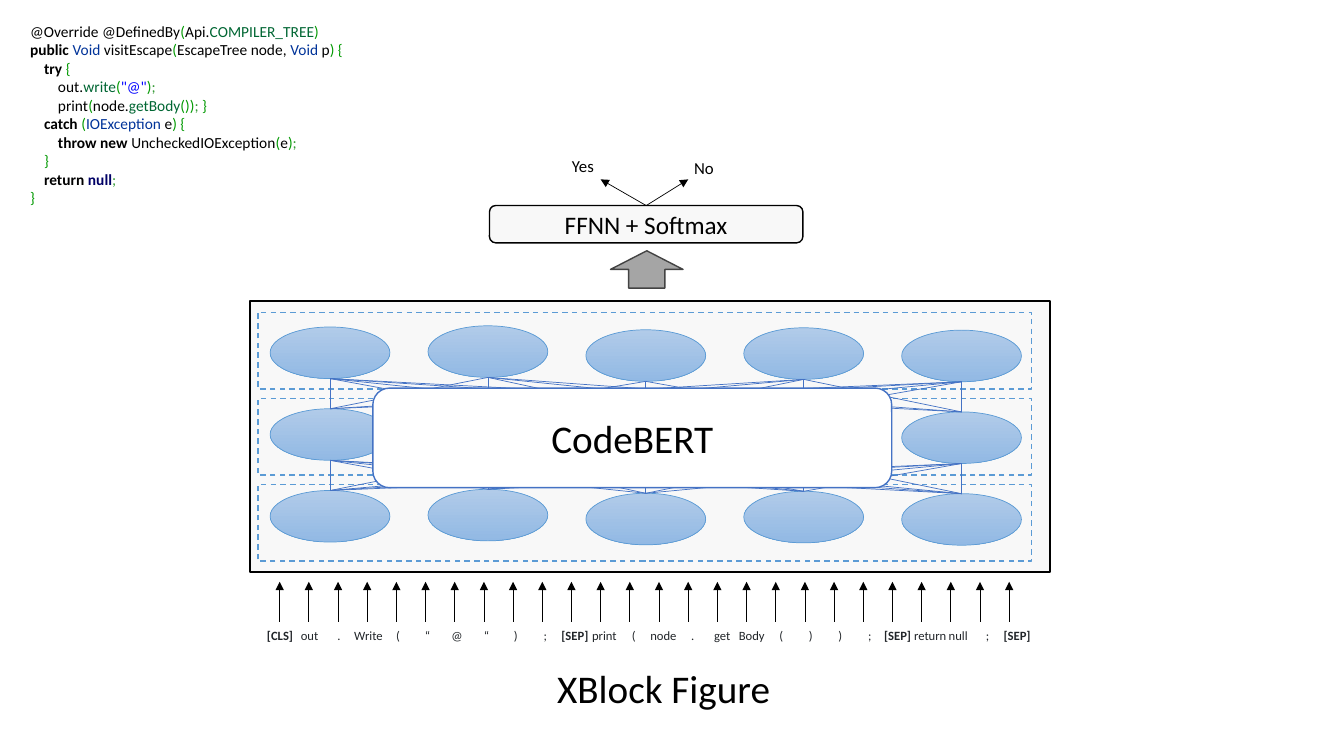
from pptx import Presentation
from pptx.dml.color import RGBColor
from pptx.enum.dml import MSO_LINE
from pptx.enum.shapes import MSO_CONNECTOR, MSO_SHAPE
from pptx.enum.text import MSO_ANCHOR, PP_ALIGN
from pptx.oxml.ns import qn
from pptx.util import Cm, Pt
from lxml.etree import SubElement

# Content: each run is (text, style)
CODE = [
    [("@Override @DefinedBy", "black"), ("(", "mark"), ("Api.", "black"),
     ("COMPILER_TREE", "call"), (")", "mark")],
    [("public ", "word"), ("Void", "type"), (" visitEscape", "black"),
     ("(", "mark"), ("EscapeTree node, ", "black"), ("Void", "type"),
     (" p", "black"), (") {", "mark")],
    [("    try ", "word"), ("{", "mark")],
    [("        out.", "black"), ("write", "call"), ("(", "mark"),
     ('"@"', "quote"), (")", "mark"), (";", "end")],
    [("        print", "black"), ("(", "mark"), ("node.", "black"),
     ("getBody", "call"), ("())", "mark"), ("; ", "end"), ("}", "mark")],
    [("    catch ", "word"), ("(", "mark"), ("IOException", "type"),
     (" e", "black"), (") {", "mark")],
    [("        throw new", "word"), (" UncheckedIOException", "black"),
     ("(", "mark"), ("e", "black"), (")", "mark"), (";", "end")],
    [("    }", "mark")],
    [("    return ", "word"), ("null", "null"), (";", "end")],
    [("}", "mark")],
]
TOKENS = ["[CLS]", "out", ".", "Write", "(", "“", "@", "“", ")", ";",
          "[SEP]", "print", "(", "node", ".", "get", "Body", "(", ")", ")",
          ";", "[SEP]", "return", "null", ";", "[SEP]"]
NUDGE = {21: -0.04, 22: 0.04}  # parts the wide neighbours "[SEP]" and "return"
LABELS = [("Yes", 14.17, 3.81, 15.14), ("No", 17.25, 3.84, 17.35)]

COLORS = {
    "black": "000000", "word": "000000", "null": "000066", "mark": "009900",
    "call": "006633", "type": "003399", "quote": "0000FF", "end": "339933",
    "token": "212529", "head": "212529", "pale": "F8F8F8", "white": "FFFFFF",
    "sky": "5B9BD5", "blue": "4472C4", "light": "B1CBE9", "deep": "92B9E4",
    "gray": "A5A5A5", "dark": "434343",
}
BOLD = {"word", "null", "head"}

deck = Presentation()
deck.slide_width, deck.slide_height = Cm(33.88), Cm(19.05)
slide = deck.slides.add_slide(deck.slide_layouts[5])
shapes = slide.shapes


def rgb(name):
    return RGBColor.from_string(COLORS[name])


def write(frame, lines, size=12, align=PP_ALIGN.LEFT, anchor=MSO_ANCHOR.TOP,
          tabs=()):
    """Fill a text frame with lines of (text, style) runs."""
    frame.word_wrap = True
    frame.vertical_anchor = anchor
    for i, runs in enumerate(lines):
        para = frame.add_paragraph() if i else frame.paragraphs[0]
        para.alignment = align
        if tabs:
            stops = SubElement(para._p.get_or_add_pPr(), qn("a:tabLst"))
            for pos in tabs:
                SubElement(stops, qn("a:tab"), pos=str(Cm(pos)), algn="ctr")
        for text, style in runs:
            run = para.add_run()
            run.text = text
            run.font.name, run.font.size = "Calibri", Pt(size)
            run.font.bold = style in BOLD
            run.font.color.rgb = rgb(style)


def box(kind, x, y, w, h, fill, edge, width=1):
    part = shapes.add_shape(kind, Cm(x), Cm(y), Cm(w), Cm(h))
    part.shadow.inherit = False
    if fill:
        part.fill.solid()
        part.fill.fore_color.rgb = rgb(fill)
    else:
        part.fill.background()
    part.line.color.rgb = rgb(edge)
    part.line.width = Pt(width)
    return part


def note(x, y, w, h, lines, **form):
    area = shapes.add_textbox(Cm(x), Cm(y), Cm(w), Cm(h))
    write(area.text_frame, lines, **form)


def link(x1, y1, x2, y2, color, arrow=False):
    line = shapes.add_connector(MSO_CONNECTOR.STRAIGHT,
                                Cm(x1), Cm(y1), Cm(x2), Cm(y2))
    line.line.color.rgb = rgb(color)
    line.line.width = Pt(0.5)
    if arrow:
        SubElement(line.line._get_or_add_ln(), qn("a:tailEnd"), type="triangle")
    SubElement(line._element.spPr, qn("a:effectLst"))
    return line


# Title below the figure
title = shapes.title
title.left, title.top, title.width, title.height = (
    Cm(13.79), Cm(16.61), Cm(8.48), Cm(1.45))
write(title.text_frame, [[("XBlock Figure", "black")]], size=28)

# Model frame with three dashed layers
box(MSO_SHAPE.RECTANGLE, 6.3, 7.59, 20.17, 6.83, "pale", "black")
for row in range(3):
    layer = box(MSO_SHAPE.RECTANGLE, 6.5, 7.87 + row * 2.17, 19.51, 1.93,
                None, "sky")
    layer.line.dash_style = MSO_LINE.DASH

# Input tokens, centred on evenly spaced tabs
runs = [("\t" * (i > 0) + word, "head" if word[0] == "[" else "token")
        for i, word in enumerate(TOKENS)]
pitch = 18.58 / (len(TOKENS) - 1)
note(6.48, 15.7, 20.17, 0.64, [runs], size=9,
     tabs=[0.33 + i * pitch + NUDGE.get(i, 0) for i in range(1, len(TOKENS))])
step = 18.39 / (len(TOKENS) - 1)
for i in range(len(TOKENS)):
    x = 7.05 + i * step
    link(x, 15.67, x, 14.66, "black", arrow=True)

# Neurons: the middle layer shows only its two outer ones
WIDE, HIGH = 3.02, 1.3
SHIFT = [0, -0.03, 0.07, 0.02, 0.08]
COLS = range(len(SHIFT))


def spot(row, col):
    return 6.81 + col * 3.98, 8.24 + SHIFT[col] + row * 2.06


for row in range(3):
    for col in COLS:
        if row == 1 and 0 < col < 4:
            continue
        cell = box(MSO_SHAPE.OVAL, *spot(row, col), WIDE, HIGH, None, "sky", 0.5)
        cell.fill.gradient()
        cell.fill.gradient_angle = 270
        for stop, name in zip(cell.fill.gradient_stops, ("light", "deep")):
            stop.color.rgb = rgb(name)

# Links between layers; the top centre neuron skips the outer two
for row in range(2):
    for a in COLS:
        for b in COLS:
            if row == 0 and a == 2 and b in (0, 4):
                continue
            (x1, y1), (x2, y2) = spot(row, a), spot(row + 1, b)
            link(x1 + WIDE / 2, y1 + HIGH, x2 + WIDE / 2, y2, "blue")

# Model name
model = box(MSO_SHAPE.ROUNDED_RECTANGLE, 9.4, 9.78, 13.08, 2.51, "white", "blue")
write(model.text_frame, [[("CodeBERT", "black")]], size=28,
      align=PP_ALIGN.CENTER, anchor=MSO_ANCHOR.MIDDLE)

# Source code
note(0.51, 0.43, 8.48, 4.93, CODE, size=11)

# Classifier and its two answers
box(MSO_SHAPE.UP_ARROW, 15.39, 6.32, 1.83, 0.94, "gray", "dark")
head = box(MSO_SHAPE.ROUNDED_RECTANGLE, 12.34, 5.18, 7.9, 0.94, "pale", "black")
write(head.text_frame, [[("FFNN + Softmax", "black")]], size=18,
      align=PP_ALIGN.CENTER, anchor=MSO_ANCHOR.MIDDLE)
for text, x, y, tip in LABELS:
    link(16.29, 5.18, tip, 4.52, "black", arrow=True).begin_connect(head, 0)
    note(x, y, 1.5, 0.76, [[(text, "black")]])

deck.save("out.pptx")
